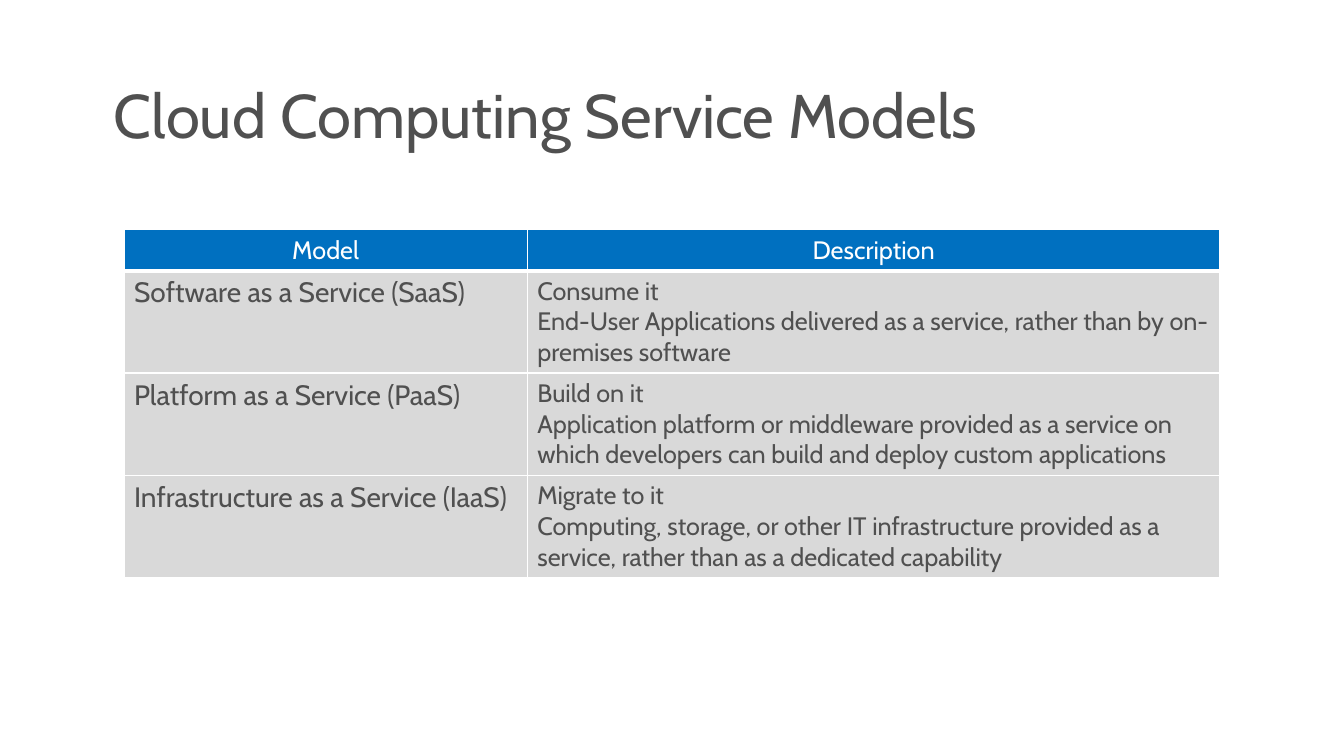
from lxml import etree
from pptx import Presentation
from pptx.dml.color import RGBColor
from pptx.enum.text import MSO_ANCHOR, PP_ALIGN
from pptx.oxml.ns import qn
from pptx.util import Inches, Pt

# Content
TITLE = "Cloud Computing Service Models"
HEADERS = ("Model", "Description")
MODELS = [
    ("Software as a Service (SaaS)", "Consume it",
     "End-User Applications delivered as a service, rather than by on-premises software"),
    ("Platform as a Service (PaaS)", "Build on it",
     "Application platform or middleware provided as a service on which "
     "developers can build and deploy custom applications"),
    ("Infrastructure as a Service (IaaS)", "Migrate to it",
     "Computing, storage, or other IT infrastructure provided as a service, "
     "rather than as a dedicated capability"),
]

# Look
FONT = "Cabin"
TEXT, WHITE, BLUE, GRAY = "505050", "FFFFFF", "0070C0", "D9D9D9"
COLUMN_WIDTHS = (4, 6.87)
HEADER_HEIGHT, MODEL_HEIGHT = 0.38, 1


def color(hex_code):
    return RGBColor.from_string(hex_code)


def format_text(text_frame, size, hex_code, align=PP_ALIGN.LEFT):
    for paragraph in text_frame.paragraphs:
        paragraph.alignment = align
        for run in paragraph.runs:
            run.font.name = FONT
            run.font.size = Pt(size)
            run.font.bold = False
            run.font.color.rgb = color(hex_code)


def add_borders(cell, bottom_width):
    properties = cell._tc.get_or_add_tcPr()
    for side, width in (("L", 1), ("R", 1), ("T", 1), ("B", bottom_width)):
        line = etree.SubElement(properties, qn(f"a:ln{side}"), w=str(Pt(width)))
        fill = etree.SubElement(line, qn("a:solidFill"))
        etree.SubElement(fill, qn("a:srgbClr"), val=WHITE)


def fill_cell(cell, text, size, text_color, fill_color, align=PP_ALIGN.LEFT, bottom_width=1):
    cell.text_frame.text = text
    format_text(cell.text_frame, size, text_color, align)
    add_borders(cell, bottom_width)
    cell.fill.solid()
    cell.fill.fore_color.rgb = color(fill_color)


presentation = Presentation()
presentation.slide_width = Inches(13.33)
presentation.slide_height = Inches(7.5)
slide = presentation.slides.add_slide(presentation.slide_layouts[5])

# Title
title = slide.shapes.title
title.left, title.top = Inches(1.03), Inches(0.8)
title.width, title.height = Inches(12.3), Inches(0.98)
title.text_frame.text = TITLE
title.text_frame.vertical_anchor = MSO_ANCHOR.TOP
title.text_frame.paragraphs[0].line_spacing = 0.9
format_text(title.text_frame, 44, TEXT)

# Table grid
row_heights = [HEADER_HEIGHT] + [MODEL_HEIGHT] * len(MODELS)
table = slide.shapes.add_table(
    len(row_heights), len(COLUMN_WIDTHS), Inches(1.23), Inches(2.28),
    Inches(sum(COLUMN_WIDTHS)), Inches(sum(row_heights))).table
for column, width in zip(table.columns, COLUMN_WIDTHS):
    column.width = Inches(width)
for row, height in zip(table.rows, row_heights):
    row.height = Inches(height)

# Table cells
for column_index, header in enumerate(HEADERS):
    fill_cell(table.cell(0, column_index), header, 18, WHITE, BLUE,
              PP_ALIGN.CENTER, bottom_width=3)
for row_index, (model, motto, description) in enumerate(MODELS, start=1):
    fill_cell(table.cell(row_index, 0), model, 20, TEXT, GRAY)
    fill_cell(table.cell(row_index, 1), f"{motto}\n{description}", 18, TEXT, GRAY)

presentation.save("out.pptx")
